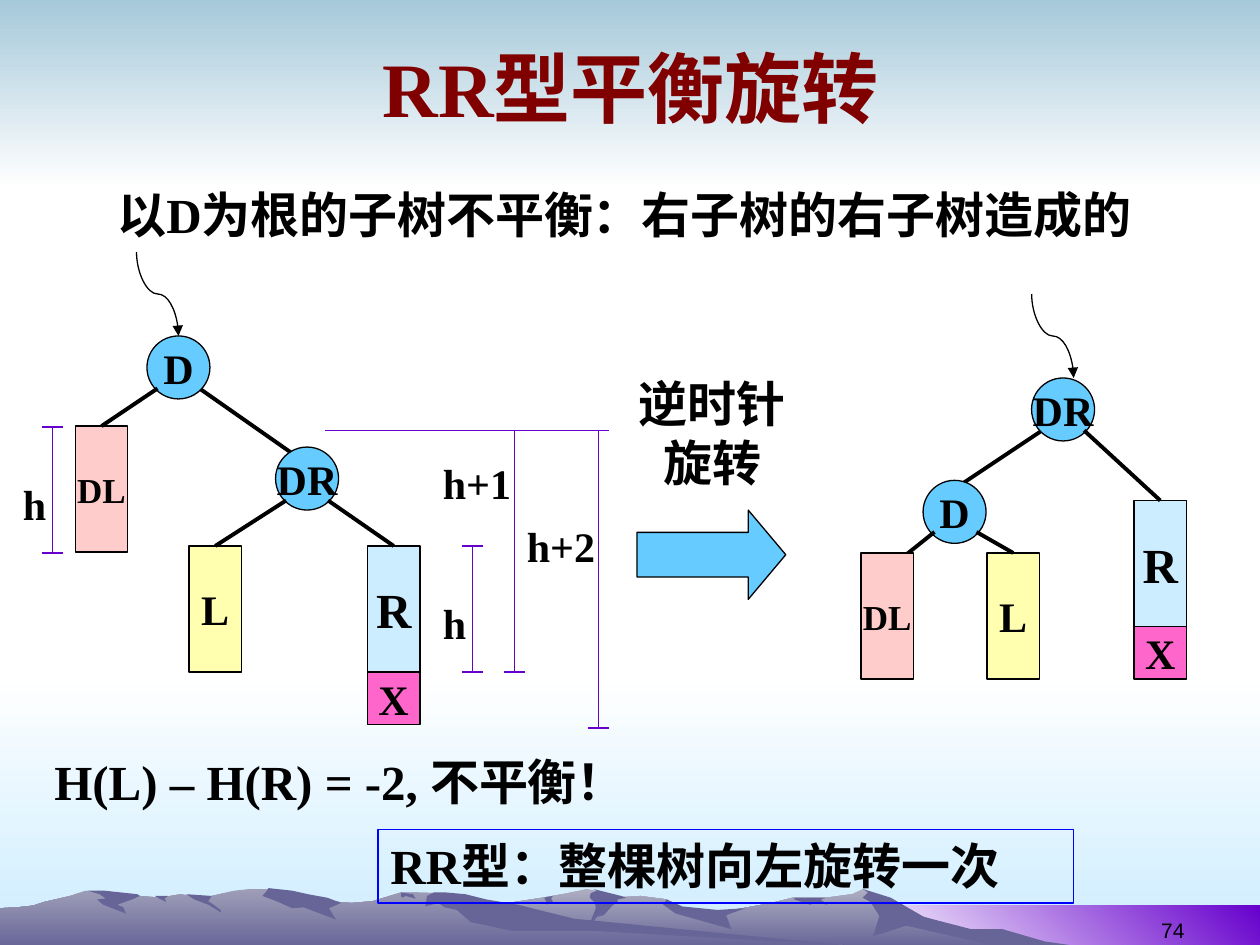
from lxml.etree import SubElement
from pptx import Presentation
from pptx.dml.color import RGBColor
from pptx.enum.shapes import MSO_CONNECTOR, MSO_SHAPE
from pptx.enum.text import MSO_ANCHOR, MSO_AUTO_SIZE, PP_ALIGN
from pptx.oxml.ns import qn
from pptx.util import Pt

BLACK, PURPLE, SLATE, SKY = "000000", "6600CC", "676597", "66CCFF"
PINK, YELLOW, PALE, MAGENTA = "FFCCCC", "FFFFAF", "CCECFF", "FF66CC"

BACK_RIDGE = [
    (577, 537), (560, 533), (550, 531), (521, 522), (505, 513), (493, 508), (487, 511),
    (472, 513), (453, 513), (441, 516), (408, 522), (386, 519), (381, 514), (366, 512),
    (350, 513), (341, 509), (335, 508), (324, 510.5), (310, 513), (284, 517),
    (256, 522), (235, 526), (199, 536), (186, 541), (591, 541)]
FRONT_RIDGE = [
    (497, 541), (480, 540), (311, 527), (255, 510.5), (238, 510), (229, 510), (213, 515),
    (201, 516), (187, 515), (170, 516), (160, 510), (153, 508), (143, 508), (134, 509),
    (121, 512), (115, 513), (103, 511), (92, 513), (80, 512), (68, 513), (49, 509),
    (40, 512), (25, 515.5), (19, 517.5), (10, 518.5), (0, 519), (0, 541)]
BACK_SHADES = [
    [(573, 531), (555, 531), (528, 524), (509, 513), (493, 508), (496, 510), (493, 513),
     (497.5, 515.5), (502.5, 523.5), (499, 535), (518, 529), (570, 541), (618, 541), (597, 538)],
    [(339, 508), (341, 509), (337.5, 510.5), (337, 513), (340, 516), (340.5, 519), (335, 533),
     (341, 524), (345, 523), (350.5, 517), (353, 516), (353, 514), (358, 513), (355, 512)],
    [(381, 514), (379, 517), (386, 522), (418, 531), (415, 523), (426, 519), (410, 520), (390, 518)],
    [(468, 513), (454, 513), (454, 514), (463, 517), (466, 515.5), (473, 517), (469, 514), (472, 513)],
    [(312, 515), (311, 513), (316, 512), (315, 513.5), (316, 515.5), (312.5, 517)]]
FRONT_SHADES = [
    [(152.5, 509), (150, 512), (158, 515), (167, 519), (173.5, 518.5), (192, 525.5), (188, 519),
     (195, 516), (187, 513), (176, 511), (167, 509), (153.5, 507.5)],
    [(266, 511), (255, 510), (248, 510), (244, 512), (243, 518), (250.5, 516), (254, 518.5),
     (261, 520), (269, 527), (293, 532), (340, 532), (497, 541), (492, 541), (328, 525),
     (296, 517), (278, 514)],
    [(229, 510), (236, 511), (237.5, 513.5), (232, 512), (229.5, 513)],
    [(106.5, 511), (121, 512), (119, 515), (122, 517), (126, 520), (126.5, 521.5), (119, 517), (111, 514)],
    [(96, 512), (94, 513.5), (95, 515.5), (91, 513.5), (88.5, 512)],
    [(78.5, 511), (80, 512), (75.5, 514), (67, 517), (70.5, 518.5), (72, 522), (59, 517),
     (55.5, 514), (60.5, 513.5), (57, 511), (50, 509), (60, 509)]]


def rgb(value):
    return RGBColor.from_string(value)


def apply(target, values):
    for name, value in values.items():
        setattr(target, name, value)


class Deck:
    font = {"name": "Times New Roman", "bold": True}
    body = {"auto_size": MSO_AUTO_SIZE.NONE, "word_wrap": True, "vertical_anchor": MSO_ANCHOR.TOP}

    def __init__(self, slide):
        self.s = slide

    def fill_text(self, sp, text, size, color=BLACK, align=PP_ALIGN.LEFT, font=None, **body):
        tf = sp.text_frame
        apply(tf, {**self.body, **body})
        p = tf.paragraphs[0]
        p.alignment = align
        r = p.add_run()
        r.text = text
        apply(r.font, {**self.font, "size": Pt(size), **(font or {})})
        r.font.color.rgb = rgb(color)

    def paint(self, sp, fill=None, line=None, angle=270):
        sp.shadow.inherit = False
        if fill is None:
            sp.fill.background()
        elif isinstance(fill, tuple):
            sp.fill.gradient()
            sp.fill.gradient_angle = angle
            for stop, color in zip(sp.fill.gradient_stops, fill):
                stop.color.rgb = rgb(color)
        else:
            sp.fill.solid()
            sp.fill.fore_color.rgb = rgb(fill)
        if line:
            sp.line.color.rgb = rgb(line)
            sp.line.width = Pt(0.75)
        else:
            sp.line.fill.background()

    def title(self, box, text):
        sp = self.s.shapes.title
        sp._element.getparent().append(sp._element)
        apply(sp, dict(zip(("left", "top", "width", "height"), map(Pt, box))))
        self.fill_text(sp, text, 44, "800000", PP_ALIGN.CENTER, vertical_anchor=MSO_ANCHOR.MIDDLE)

    def text(self, box, text, size=28, **style):
        self.fill_text(self.s.shapes.add_textbox(*map(Pt, box)), text, size, **style)

    def shape(self, kind, box, fill=None, line=None, angle=270):
        sp = self.s.shapes.add_shape(kind, *map(Pt, box))
        self.paint(sp, fill, line, angle)
        return sp

    def node(self, text, x, y, w, h, fill, size=24, kind=MSO_SHAPE.RECTANGLE):
        sp = self.shape(kind, (x, y, w, h), fill, BLACK)
        self.fill_text(sp, text, size, align=PP_ALIGN.CENTER, word_wrap=False,
                       vertical_anchor=MSO_ANCHOR.MIDDLE)
        return sp

    def root(self, text, x, y):
        return self.node(text, x, y, 36, 36, SKY, kind=MSO_SHAPE.OVAL)

    def subtree(self, text, x, y, fill, size=24):
        return self.node(text, x, y, 30, 72, fill, size)

    def polygon(self, points, fill):
        points = [(Pt(x), Pt(y)) for x, y in points]
        builder = self.s.shapes.build_freeform(*points[0])
        builder.add_line_segments(points[1:], close=True)
        self.paint(builder.convert_to_shape(), fill)

    def line(self, x1, y1, x2, y2, color=BLACK, width=2.25, kind=MSO_CONNECTOR.STRAIGHT):
        c = self.s.shapes.add_connector(kind, Pt(x1), Pt(y1), Pt(x2), Pt(y2))
        c.line.color.rgb = rgb(color)
        c.line.width = Pt(width)
        SubElement(c._element.spPr, qn("a:effectLst"))
        return c

    def edge(self, x, y, child):
        self.line(x, y, x, y).end_connect(child, 0)

    def pointer(self, x, y, w=24, h=48):
        cx, cy = x + w / 2, y + h / 2
        c = self.line(cx + h / 2, cy - w / 2, cx - h / 2, cy + w / 2, width=0.75,
                      kind=MSO_CONNECTOR.CURVE)
        c.rotation = 270
        SubElement(c._element.spPr.find(qn("a:ln")), qn("a:tailEnd"), type="triangle")

    def measure(self, text, x, top, bottom, label, start=None, end=None):
        self.line(x, top, x, bottom, PURPLE, 0.75)
        self.line(start or x - 6, top, end or x + 6, top, PURPLE, 0.75)
        self.line(x - 6, bottom, x + 6, bottom, PURPLE, 0.75)
        self.text(label, text, 24)


def main():
    prs = Presentation()
    prs.slide_width, prs.slide_height = Pt(720), Pt(540)
    d = Deck(prs.slides.add_slide(prs.slide_layouts[5]))

    d.shape(MSO_SHAPE.RECTANGLE, (0, 384, 720, 156), ("FFFFFF", PALE))
    d.shape(MSO_SHAPE.RECTANGLE, (0, 0, 720, 108), ("A6C9DA", "FFFFFF"))
    d.shape(MSO_SHAPE.RECTANGLE, (492, 517.5, 228, 24), ("FFFFFF", PURPLE), angle=45)
    for ridge, top_color, shades in ((BACK_RIDGE, "AEAEC2", BACK_SHADES),
                                     (FRONT_RIDGE, "9F9EB8", FRONT_SHADES)):
        d.polygon(ridge, (top_color, SLATE))
        for shade in shades:
            d.polygon(shade, SLATE)

    d.text((516, 506, 168, 36), "74", 12, align=PP_ALIGN.RIGHT,
           font={"name": "Arial", "bold": False}, vertical_anchor=MSO_ANCHOR.BOTTOM)
    d.title((36.5, 9.5, 648, 80.5), "RR型平衡旋转")
    d.text((60, 102, 612, 41), "以D为根的子树不平衡：右子树的右子树造成的")

    arrow = d.shape(MSO_SHAPE.RIGHT_ARROW, (364, 291.5, 85, 51), SKY, BLACK)
    arrow.adjustments[1] = 0.42
    d.text((356, 210, 102, 74), "逆时针旋转", align=PP_ALIGN.CENTER)

    d.line(114, 222, 174, 264)
    d.root("D", 84, 192)
    d.root("DR", 157.5, 255.5)
    d.edge(90, 222, d.subtree("DL", 43, 243.5, PINK, 20))
    d.edge(163.5, 286, d.subtree("L", 108, 312, YELLOW))
    d.edge(187.5, 286, d.subtree("R", 210, 312, PALE, 28))
    d.node("X", 210, 384, 30, 30, MAGENTA)
    d.pointer(78, 144)

    d.line(595.5, 246, 541.5, 282)
    d.root("DR", 589.5, 216)
    d.edge(619.5, 246, d.subtree("R", 648, 286, PALE, 28))
    d.node("X", 648, 358, 30, 30, MAGENTA)
    d.pointer(589.5, 168)
    d.root("D", 527.5, 274.5)
    d.line(534, 304, 504, 328)
    d.edge(558, 304, d.subtree("L", 564, 316, YELLOW))
    d.subtree("DL", 492, 316, PINK, 20)

    d.measure("h", 270, 312, 384, (246, 338, 30, 36))
    d.measure("h+1", 294, 246, 384, (246, 258, 54, 36), 186, 306)
    d.measure("h", 30, 244, 316, (6, 270, 30, 36))
    d.measure("h+2", 342, 246, 416, (294, 294, 54, 36), 228, 348)

    d.text((24, 426, 330, 41), "H(L) – H(R) = -2, 不平衡！")
    box = d.shape(MSO_SHAPE.RECTANGLE, (216, 474, 397.5, 42), line="0000FF")
    d.fill_text(box, "RR型：整棵树向左旋转一次", 28)
    prs.save("out.pptx")


if __name__ == "__main__":
    main()
